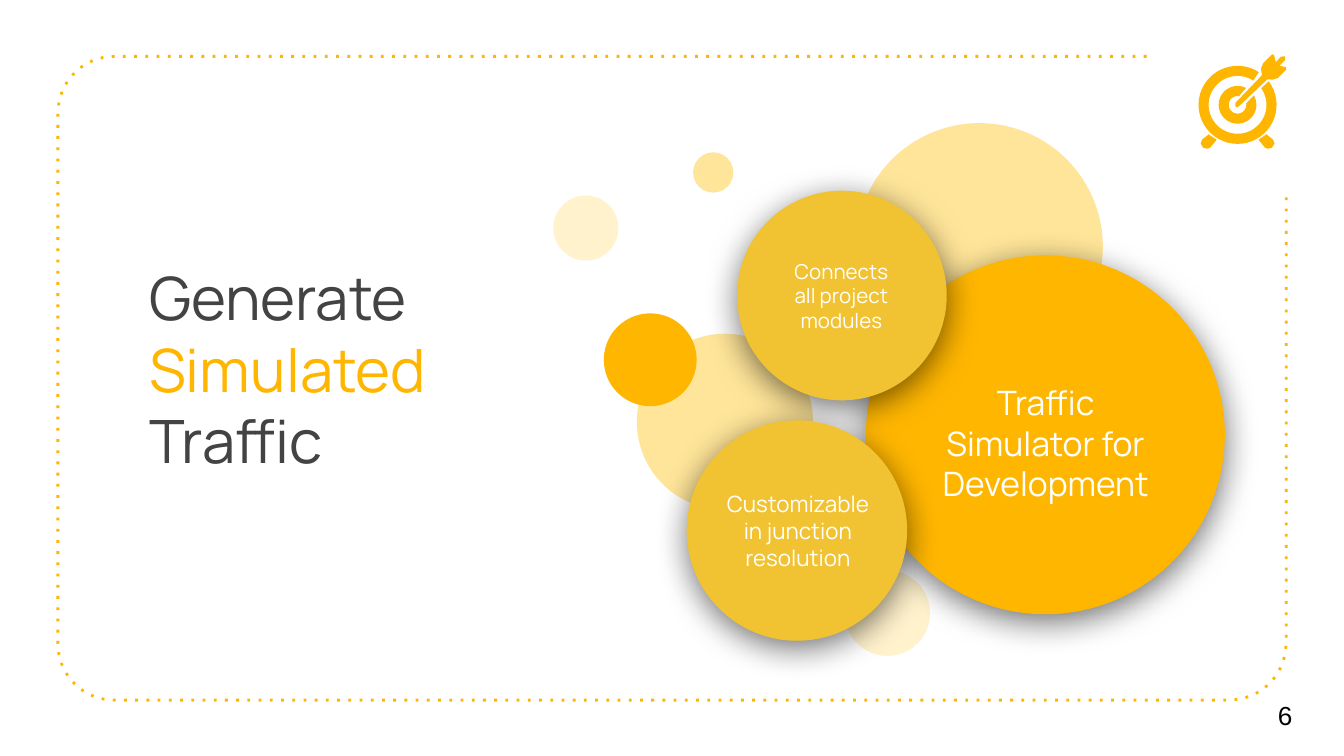
import math

import lxml.etree
import pptx
import pptx.dml.color
import pptx.enum.dml
import pptx.enum.shapes
import pptx.enum.text
import pptx.oxml.ns
import pptx.util

Pt = pptx.util.Pt
RGBColor = pptx.dml.color.RGBColor
qn = pptx.oxml.ns.qn
ALIGN = pptx.enum.text.PP_ALIGN
ANCHOR = pptx.enum.text.MSO_ANCHOR

AMBER = RGBColor(0xFF, 0xB6, 0x00)
GOLD = RGBColor(0xF1, 0xC2, 0x32)
SAND = RGBColor(0xFF, 0xE5, 0x99)
CREAM = RGBColor(0xFF, 0xF2, 0xCC)
GREY = RGBColor(0x43, 0x43, 0x43)
BLACK = RGBColor(0, 0, 0)
WHITE = RGBColor(0xFF, 0xFF, 0xFF)


def arc(cx, cy, r, start, end, steps=8):
    """Points on a circle, angles in degrees, clockwise from the right."""
    angles = [math.radians(start + (end - start) * i / steps)
              for i in range(steps + 1)]
    return [(cx + r * math.cos(a), cy + r * math.sin(a)) for a in angles]


class SlideMaker:
    font = "Manrope"
    frame = {
        "word_wrap": True,
        "auto_size": pptx.enum.text.MSO_AUTO_SIZE.NONE,
        "margin_left": Pt(7.2), "margin_right": Pt(7.2),
        "margin_top": Pt(7.2), "margin_bottom": Pt(7.2),
    }

    def __init__(self, slide):
        self.s = slide

    def fill_text(self, sp, runs, size, anchor, align, font=None):
        tf = sp.text_frame
        for name, value in {**self.frame, "vertical_anchor": anchor}.items():
            setattr(tf, name, value)
        p = tf.paragraphs[0]
        p.alignment = align
        for text, color in runs:
            r = p.add_run()
            r.text = text
            style = {"name": font or self.font, "size": Pt(size), "bold": False}
            for name, value in style.items():
                setattr(r.font, name, value)
            r.font.color.rgb = color

    def title(self, box, runs, size):
        sp = self.s.shapes.title
        for name, value in zip(("left", "top", "width", "height"), box):
            setattr(sp, name, Pt(value))
        self.fill_text(sp, runs, size, ANCHOR.TOP, ALIGN.LEFT)

    def text(self, box, text, size, color, align=ALIGN.CENTER, font=None):
        sp = self.s.shapes.add_textbox(*map(Pt, box))
        self.fill_text(sp, [(text, color)], size, ANCHOR.MIDDLE, align, font)

    def paint(self, sp, color):
        sp.shadow.inherit = False
        sp.fill.solid()
        sp.fill.fore_color.rgb = color
        sp.line.fill.background()

    def circle(self, x, y, d, color, shadow=False):
        sp = self.s.shapes.add_shape(
            pptx.enum.shapes.MSO_SHAPE.OVAL, Pt(x), Pt(y), Pt(d), Pt(d))
        self.paint(sp, color)
        if shadow:
            effects = sp.element.spPr.find(qn("a:effectLst"))
            outer = lxml.etree.SubElement(
                effects, qn("a:outerShdw"), blurRad=str(Pt(18)),
                dist=str(Pt(4)), dir="5400000", algn="bl", rotWithShape="0")
            black = lxml.etree.SubElement(outer, qn("a:srgbClr"), val="000000")
            lxml.etree.SubElement(black, qn("a:alpha"), val="55000")

    def outline(self, points, close):
        points = [(Pt(x), Pt(y)) for x, y in points]
        fb = self.s.shapes.build_freeform(*points[0])
        fb.add_line_segments(points[1:], close=close)
        return fb.convert_to_shape()

    def filled(self, points, color):
        self.paint(self.outline(points, True), color)

    def dotted(self, points, color, width):
        sp = self.outline(points, False)
        sp.shadow.inherit = False
        sp.fill.background()
        sp.line.color.rgb = color
        sp.line.width = Pt(width)
        sp.line.dash_style = pptx.enum.dml.MSO_LINE.ROUND_DOT
        ln = sp.element.spPr.find(qn("a:ln"))
        ln.find(qn("a:prstDash")).set("val", "dot")


def main():
    prs = pptx.Presentation()
    prs.slide_width, prs.slide_height = Pt(720), Pt(405)
    m = SlideMaker(prs.slides.add_slide(prs.slide_layouts[5]))

    # Dotted frame, open at the top right corner
    left, top, right, bottom, r = 31, 30.2, 689, 375.1, 30.2
    m.dotted([(614.2, top),
              *arc(left + r, top + r, r, 270, 180),
              *arc(left + r, bottom - r, r, 180, 90),
              *arc(right - r, bottom - r, r, 90, 0),
              (right, 105.1)], AMBER, 1.5)

    # Title and slide number
    m.title((72.7, 132.5, 257, 67.7),
            [("Generate ", GREY), ("Simulated", AMBER), (" Traffic", GREY)], 32)
    m.text((677.5, 361.4, 42.5, 43.2), "6", 14, BLACK, ALIGN.LEFT, "Arial")

    # Background bubbles
    for x, y, d, color in [
        (452.5, 305.6, 45.8, CREAM), (296.5, 104.8, 34.8, CREAM),
        (341.2, 178.8, 94.4, SAND), (458.5, 66, 132.3, SAND),
        (323.5, 167.9, 49.7, AMBER), (371.3, 81.6, 21.6, SAND),
    ]:
        m.circle(x, y, d, color)

    # Labelled circles
    for circle, color, box, label, size in [
        ((463.9, 136.8, 192.3), AMBER, (486.7, 191.5, 146.9, 91.4),
         "Traffic Simulator for Development", 18),
        ((394.9, 102.2, 112.3), GOLD, (412.6, 121.2, 76.3, 74.2),
         "Connects all project modules", 11),
        ((367.9, 225.2, 118.1), GOLD, (380.7, 247.2, 93.6, 74.2),
         "Customizable in junction resolution", 12),
    ]:
        m.circle(*circle, color, shadow=True)
        m.text(box, label, size, WHITE)

    # Target icon: rings open towards the arrow, as (radius, start, end)
    cx, cy = 663, 56.2
    for outer, inner in [((20.9, -37, 303), (15.5, -35, 303)),
                         ((10.1, -30, 297), (4.7, -9, 280))]:
        m.filled(arc(cx, cy, *outer, 48) + arc(cx, cy, *inner, 48)[::-1], AMBER)

    # Target icon: mirrored feet
    foot = [(15.5, 72), (19.1, 74.9), (19.8, 77), (18.4, 79.2),
            (16.2, 79.7), (14.8, 79.2), (11.2, 74.9)]
    for side in (-1, 1):
        m.filled([(cx + side * x, y) for x, y in foot], AMBER)

    # Target icon: arrow
    m.filled([(681.8, 29.1), (681.1, 29.5), (676.8, 33.8), (675.6, 36.7),
              (676.1, 40.3), (661.9, 55.1), (661.9, 56.9), (662.6, 57.5),
              (663.8, 56.9), (679, 42.5), (681.8, 42.7), (684.7, 41.8),
              (689, 37.4), (689, 36), (685.4, 35.3), (688.5, 32.2),
              (688.5, 30.2), (686.3, 30.4), (683.5, 33.3), (682.6, 29.6)],
             AMBER)

    prs.save("out.pptx")


if __name__ == "__main__":
    main()
